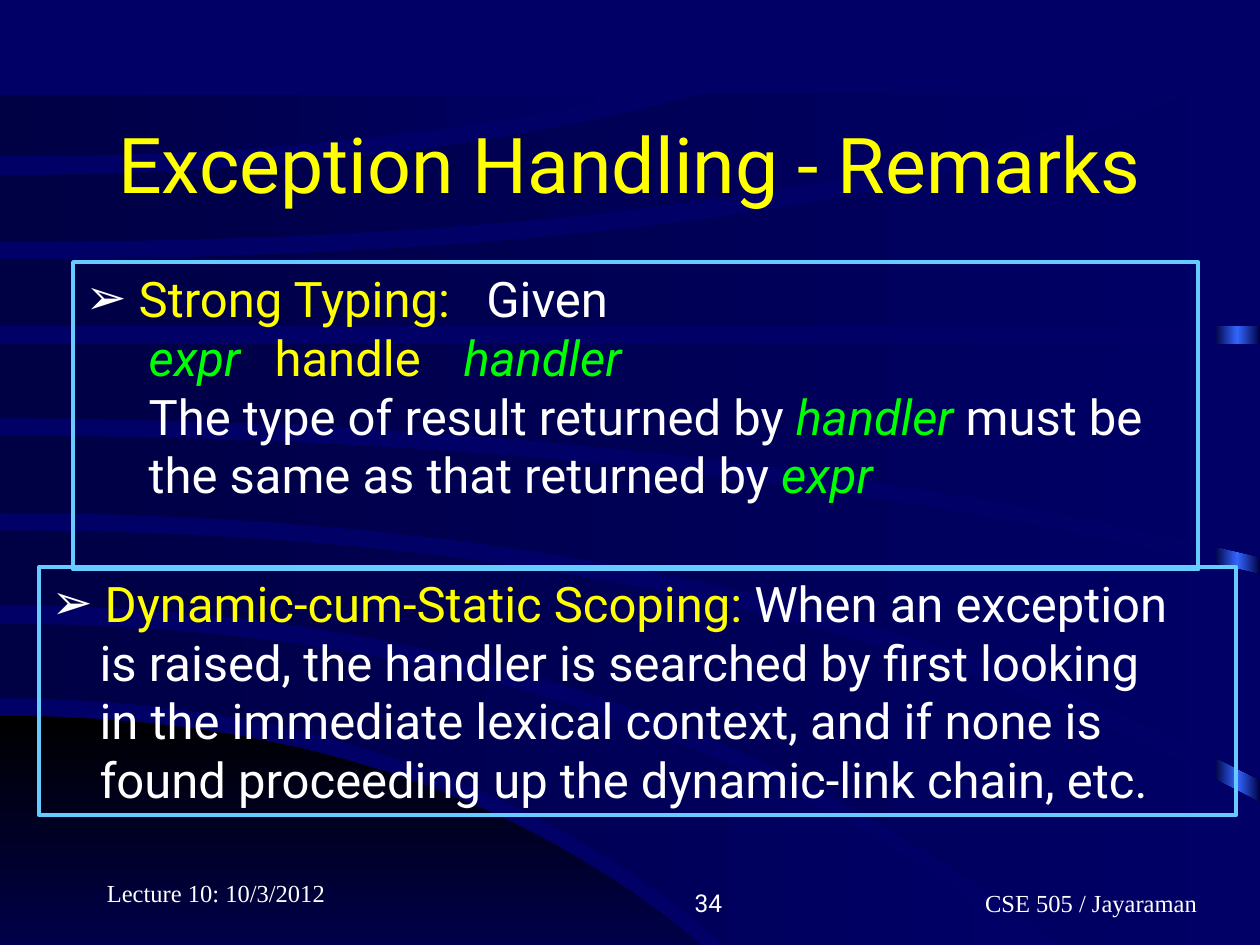
import copy

from lxml import etree
from pptx import Presentation, util as u
from pptx.dml import color
from pptx.enum import shapes, text
from pptx.oxml import ns

NAVY, DARK, BLUE = "000066", "000044", "3366FF"
WHITE, YELLOW, GREEN, SKY = "FFFFFF", "FFFF00", "00FF00", "66CCFF"
SANS, SERIF = "Roboto", "Times New Roman"
STEPS = 16


def rgb(value):
    return color.RGBColor.from_string(value)


def curve(y0, bend, x1, y1):
    points = []
    for i in range(STEPS + 1):
        t = i / STEPS
        x = 2 * t * (1 - t) * bend + t * t * x1
        y = (1 - t * t) * y0 + t * t * y1
        points.append((x, y))
    return points


def flat(y, x1):
    return [(0, y), (x1, y)]


def add_run(p, content, fill=WHITE, size=28, font=SANS, italic=False):
    r = p.add_run()
    r.text = content
    r.font.name = font
    r.font.size = u.Pt(size)
    r.font.italic = italic
    r.font.color.rgb = rgb(fill)


class Deck:
    def __init__(self):
        self.prs = Presentation()
        self.prs.slide_width, self.prs.slide_height = u.Inches(10), u.Inches(7.5)
        self.s = self.prs.slides.add_slide(self.prs.slide_layouts[3])
        self.s.background.fill.solid()
        self.s.background.fill.fore_color.rgb = rgb(NAVY)

    def gradient(self, sp, colors, angle=0):
        sp.shadow.inherit = False
        sp.line.fill.background()
        sp.fill.gradient()
        sp.fill.gradient_angle = angle
        stops = sp.element.spPr.find(".//" + ns.qn("a:gsLst"))
        for _ in colors[2:]:
            stops.append(copy.deepcopy(stops[0]))
        for i, (stop, value) in enumerate(zip(sp.fill.gradient_stops, colors)):
            stop.position = i / (len(colors) - 1)
            stop.color.rgb = rgb(value)

    def strip(self, *box):
        sp = self.s.shapes.add_shape(shapes.MSO_SHAPE.RECTANGLE, *map(u.Inches, box))
        self.gradient(sp, [DARK, BLUE, DARK])

    def band(self, top, bottom, corner=(), colors=(DARK, NAVY), angle=0):
        points = [*top, *corner, *reversed(bottom)]
        builder = self.s.shapes.build_freeform(*map(u.Inches, points[0]))
        builder.add_line_segments([(u.Inches(x), u.Inches(y)) for x, y in points[1:]])
        self.gradient(builder.convert_to_shape(), colors, angle)

    def placeholder(self, idx, box, anchor):
        sp = self.s.placeholders[idx]
        sp.left, sp.top, sp.width, sp.height = map(u.Inches, box)
        self.s.shapes.element.append(sp.element)
        tf = sp.text_frame
        tf.word_wrap = True
        tf.auto_size = text.MSO_AUTO_SIZE.NONE
        tf.vertical_anchor = anchor
        return sp

    def title(self, content, *box):
        sp = self.placeholder(0, box, text.MSO_ANCHOR.MIDDLE)
        p = sp.text_frame.paragraphs[0]
        p.alignment = text.PP_ALIGN.CENTER
        add_run(p, content, YELLOW, 44)

    def body(self, idx, paragraphs, *box):
        sp = self.placeholder(idx, box, text.MSO_ANCHOR.TOP)
        sp.line.color.rgb = rgb(SKY)
        sp.line.width = u.Pt(2.25)
        tf = sp.text_frame
        for i, (margin, tabs, runs) in enumerate(paragraphs):
            p = tf.paragraphs[0] if i == 0 else tf.add_paragraph()
            p.space_before = u.Pt(0)
            self.bullet(p, i == 0, margin, tabs)
            for content, fill, italic in runs:
                add_run(p, content, fill, italic=italic)

    def bullet(self, p, marked, margin, tabs):
        pPr = p._p.get_or_add_pPr()
        pPr.set("marL", str(u.Inches(margin)))
        pPr.set("indent", "0")
        if marked:
            clr = etree.SubElement(pPr, ns.qn("a:buClr"))
            etree.SubElement(clr, ns.qn("a:srgbClr"), val=WHITE)
            etree.SubElement(pPr, ns.qn("a:buChar"), char="➢")
        else:
            etree.SubElement(pPr, ns.qn("a:buNone"))
        if tabs:
            tab_list = etree.SubElement(pPr, ns.qn("a:tabLst"))
            for pos in tabs:
                etree.SubElement(tab_list, ns.qn("a:tab"), pos=str(u.Inches(pos)), algn="l")

    def footer(self, content, align, *box, font=SERIF):
        tf = self.s.shapes.add_textbox(*map(u.Inches, box)).text_frame
        tf.word_wrap = True
        tf.vertical_anchor = text.MSO_ANCHOR.BOTTOM
        p = tf.paragraphs[0]
        p.alignment = align
        add_run(p, content, size=14, font=font)


def main():
    deck = Deck()
    deck.strip(9.64, 0.77, 0.36, 6.73)
    deck.band(curve(5.68, 3.4, 5.56, 7.5), [(0, 7.5)], colors=("000000", "000048"), angle=270)
    deck.band(curve(4.95, 4.9, 8.2, 7.5), curve(5.54, 3.5, 5.77, 7.5))
    deck.band(curve(4.21, 6, 10, 6.37), curve(4.8, 5, 8.42, 7.5), [(10, 7.5)])
    deck.band(curve(3.46, 5.5, 10, 4.56), curve(4.07, 6, 10, 6.19))
    deck.band(flat(2.73, 10), curve(3.32, 5.5, 10, 4.42))
    deck.band(curve(2.06, 6.6, 9.44, 0.75), flat(2.59, 10), [(10, 0.75)])
    deck.band(curve(1.39, 3.2, 5.57, 0.75), curve(1.92, 6, 9.18, 0.75))
    deck.band(flat(0.75, 5.02), curve(1.24, 2.8, 5.02, 0.75))

    deck.footer("CSE 505 / Jayaraman", text.PP_ALIGN.RIGHT, 6.58, 6.83, 3.02, 0.5)
    deck.footer("34", text.PP_ALIGN.RIGHT, 3.75, 6.83, 2.08, 0.5, font=SANS)
    deck.title("Exception Handling - Remarks", 0.75, 0.67, 8.5, 1.25)
    deck.body(1, [
        (0, [3.18], [(" Strong Typing:", YELLOW, False), ("\tGiven", WHITE, False)]),
        (0, [2.5, 3.41, 4.77], [("\texpr", GREEN, True), ("\thandle", YELLOW, False),
                                ("\thandler", GREEN, True)]),
        (0.5, [], [("The type of result returned by ", WHITE, False),
                   ("handler", GREEN, True), (" must be", WHITE, False)]),
        (0.5, [], [("the same as that returned by ", WHITE, False), ("expr", GREEN, True)]),
    ], 0.58, 2.08, 8.93, 2.44)
    scoping = ["is raised, the handler is searched by first looking",
               "in the immediate lexical context, and if none is",
               "found proceeding up the dynamic-link chain, etc."]
    deck.body(2, [
        (0, [], [(" Dynamic-cum-Static Scoping: ", YELLOW, False),
                 ("When an exception", WHITE, False)]),
        *[(0.38, [], [(line, WHITE, False)]) for line in scoping],
    ], 0.31, 4.5, 9.5, 1.97)
    deck.footer("Lecture 10: 10/3/2012", text.PP_ALIGN.LEFT, 0.75, 6.75, 2.08, 0.5)
    deck.prs.save("out.pptx")


if __name__ == "__main__":
    main()
